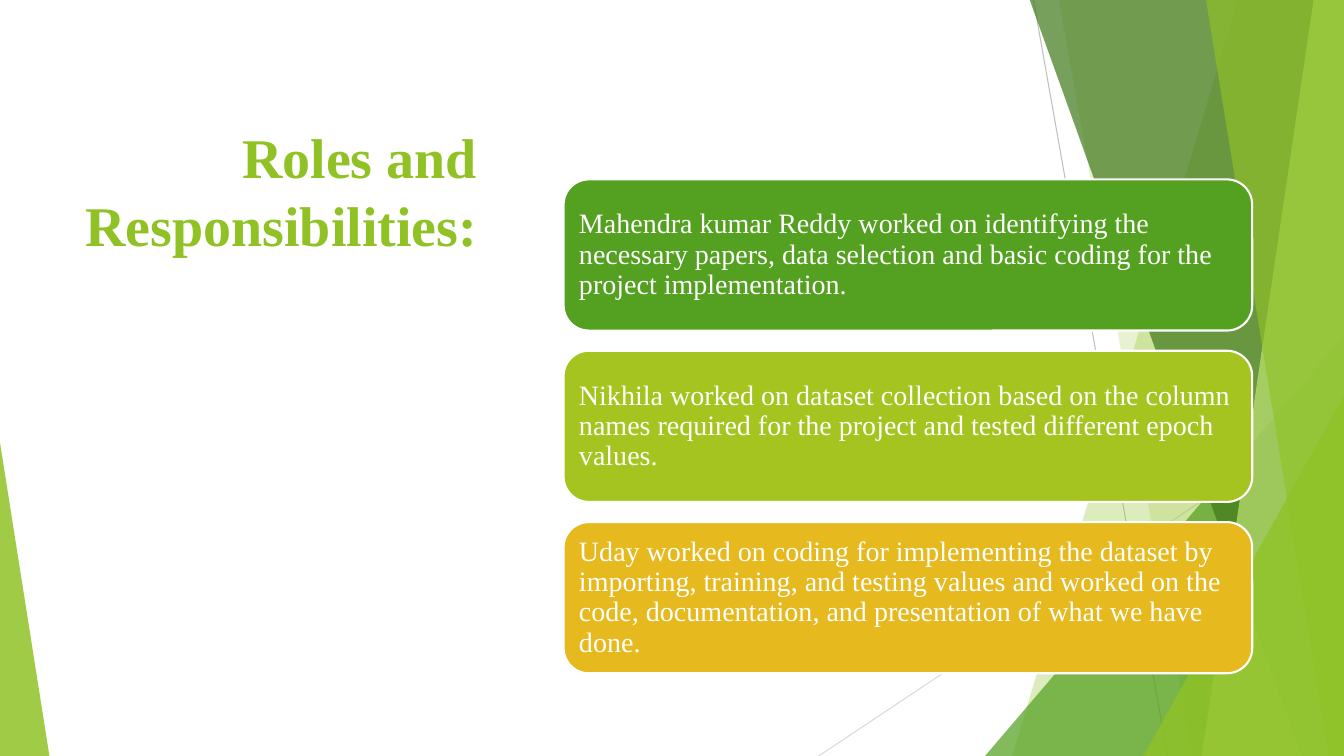
from lxml import etree
from pptx import Presentation
from pptx.dml.color import RGBColor
from pptx.enum.shapes import MSO_CONNECTOR, MSO_SHAPE
from pptx.enum.text import MSO_ANCHOR, PP_ALIGN
from pptx.oxml.ns import qn
from pptx.util import Inches, Pt

COLORS = {
    "lime": "90C226", "green": "54A021", "forest": "3F7819", "pale": "C0E474",
    "olive": "A5C41F", "gold": "E6B91E", "white": "FFFFFF",
    "gray": "BFBFBF", "light_gray": "D9D9D9",
}
W, H, TOP = 13.33, 7.5, -0.01


def rgb(name):
    return RGBColor.from_string(COLORS[name])


def write(sp, text, size=20, color="white", bold=False, align=PP_ALIGN.LEFT,
          anchor=MSO_ANCHOR.MIDDLE, spacing=0.9, inset=(0.08, 0.08)):
    """Set the shape's text; inset is (horizontal, vertical) in inches."""
    tf = sp.text_frame
    tf.word_wrap = True
    tf.vertical_anchor = anchor
    tf.margin_left = tf.margin_right = Inches(inset[0])
    tf.margin_top = tf.margin_bottom = Inches(inset[1])
    p = tf.paragraphs[0]
    p.alignment = align
    p.line_spacing = spacing
    r = p.add_run()
    r.text = text
    r.font.name = "Times New Roman"
    r.font.size = Pt(size)
    r.font.bold = bold
    r.font.color.rgb = rgb(color)


prs = Presentation()
prs.slide_width, prs.slide_height = Inches(W), Inches(H)
s = prs.slides.add_slide(prs.slide_layouts[6])

# Thin background lines
for x1, y1, x2, y2, color in [
    (10.25, 0, 11.58, H, "gray"),
    (W, 4.03, 8.12, H, "light_gray"),
]:
    line = s.shapes.add_connector(
        MSO_CONNECTOR.STRAIGHT, Inches(x1), Inches(y1), Inches(x2), Inches(y2))
    line.line.color.rgb = rgb(color)
    line.line.width = Pt(0.75)
    etree.SubElement(line._element.spPr, qn("a:effectLst"))

# Translucent facets, back to front. A band gives the x of its left edge at the
# top and bottom; a triangle gives left, top, width and apex position.
facets = [
    ("band", (12.28, 10.04), "lime", 30),
    ("band", (10.5, 11.83), "lime", 20),
    ("triangle", (9.77, 3.33, 3.56, 1), "green", 72),
    ("band", (10.21, 12.91), "forest", 70),
    ("band", (13.03, 11.92), "pale", 70),
    ("band", (11.96, 13.18), "lime", 65),
    ("triangle", (11.34, 3.93, 1.99, 1), "lime", 80),
    ("triangle", (0, 4.39, 0.49, 0), "lime", 85),
]
for kind, geometry, color, opacity in facets:
    if kind == "band":
        x_top, x_bottom = geometry
        outline = s.shapes.build_freeform(Inches(x_top), Inches(TOP))
        corners = [(W, TOP), (W, H), (x_bottom, H)]
        outline.add_line_segments([(Inches(x), Inches(y)) for x, y in corners])
        sp = outline.convert_to_shape()
    else:
        left, top, width, apex = geometry
        sp = s.shapes.add_shape(MSO_SHAPE.ISOSCELES_TRIANGLE, Inches(left),
                                Inches(top), Inches(width), Inches(H - top))
        sp.adjustments[0] = apex
    sp.shadow.inherit = False
    sp.line.fill.background()
    sp.fill.solid()
    sp.fill.fore_color.rgb = rgb(color)
    srgb = sp._element.spPr.find(qn("a:solidFill")).find(qn("a:srgbClr"))
    etree.SubElement(srgb, qn("a:alpha"), val=str(opacity * 1000))

title = s.shapes.add_textbox(Inches(0.52), Inches(1.17), Inches(4.31), Inches(6.11))
write(title, "Roles and Responsibilities:", size=40, color="lime", bold=True,
      align=PP_ALIGN.RIGHT, anchor=MSO_ANCHOR.TOP, spacing=1.0, inset=(0.1, 0.05))

# One card per team member
cards = [
    ("green", "Mahendra kumar Reddy worked on identifying the necessary papers, "
              "data selection and basic coding for the project implementation."),
    ("olive", "Nikhila worked on dataset collection based on the column names "
              "required for the project and tested different epoch values."),
    ("gold", "Uday worked on coding for implementing the dataset by importing, "
             "training, and testing values and worked on the code, "
             "documentation, and presentation of what we have done."),
]
for i, (color, text) in enumerate(cards):
    card = s.shapes.add_shape(MSO_SHAPE.ROUNDED_RECTANGLE, Inches(5.59),
                              Inches(1.78 + 1.7 * i), Inches(6.83), Inches(1.5))
    card.shadow.inherit = False
    card.fill.solid()
    card.fill.fore_color.rgb = rgb(color)
    card.line.color.rgb = rgb("white")
    card.line.width = Pt(1.5)
    write(card, text)

prs.save("out.pptx")
